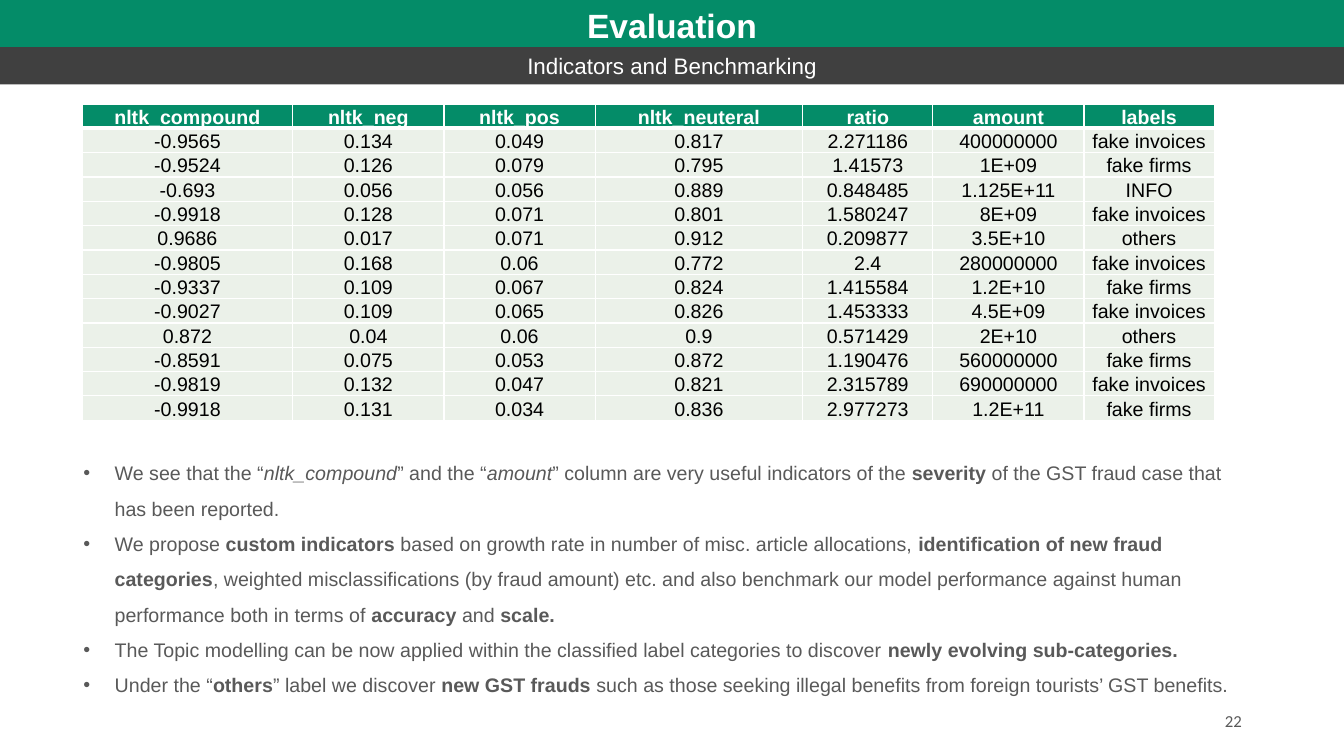
from lxml import etree
from pptx import Presentation
from pptx import util as u
from pptx.dml.color import RGBColor
from pptx.enum import shapes, text
from pptx.oxml import ns

GREEN, DARK, PALE, GREY, WHITE, BLACK = "048C68", "404040", "EBF1E9", "595959", "FFFFFF", "000000"
WIDTH = 33.87
COLUMN_WIDTHS = [5.31, 3.81, 3.81, 5.23, 3.28, 3.81, 3.28]
TABLE_HEIGHT = 7.98
HEADINGS = ["nltk_compound", "nltk_neg", "nltk_pos", "nltk_neuteral", "ratio", "amount", "labels"]
CASES = [
    ["-0.9565", "0.134", "0.049", "0.817", "2.271186", "400000000", "fake invoices"],
    ["-0.9524", "0.126", "0.079", "0.795", "1.41573", "1E+09", "fake firms"],
    ["-0.693", "0.056", "0.056", "0.889", "0.848485", "1.125E+11", "INFO"],
    ["-0.9918", "0.128", "0.071", "0.801", "1.580247", "8E+09", "fake invoices"],
    ["0.9686", "0.017", "0.071", "0.912", "0.209877", "3.5E+10", "others"],
    ["-0.9805", "0.168", "0.06", "0.772", "2.4", "280000000", "fake invoices"],
    ["-0.9337", "0.109", "0.067", "0.824", "1.415584", "1.2E+10", "fake firms"],
    ["-0.9027", "0.109", "0.065", "0.826", "1.453333", "4.5E+09", "fake invoices"],
    ["0.872", "0.04", "0.06", "0.9", "0.571429", "2E+10", "others"],
    ["-0.8591", "0.075", "0.053", "0.872", "1.190476", "560000000", "fake firms"],
    ["-0.9819", "0.132", "0.047", "0.821", "2.315789", "690000000", "fake invoices"],
    ["-0.9918", "0.131", "0.034", "0.836", "2.977273", "1.2E+11", "fake firms"],
]
PLAIN, BOLD, ITALIC = {}, {"bold": True}, {"italic": True}
FINDINGS = [
    [("We see that the “", PLAIN), ("nltk_compound", ITALIC), ("” and the “", PLAIN),
     ("amount", ITALIC), ("” column are very useful indicators of the ", PLAIN),
     ("severity", BOLD), (" of the GST fraud case that has been reported.", PLAIN)],
    [("We propose ", PLAIN), ("custom indicators", BOLD),
     (" based on growth rate in number of misc. article allocations, ", PLAIN),
     ("identification of new fraud categories", BOLD),
     (", weighted misclassifications (by fraud amount) etc. and also benchmark our model "
      "performance against human performance both in terms of ", PLAIN),
     ("accuracy", BOLD), (" and ", PLAIN), ("scale.", BOLD)],
    [("The Topic modelling can be now applied within the classified label categories to discover ",
      PLAIN), ("newly evolving sub-categories.", BOLD)],
    [("Under the “", PLAIN), ("others", BOLD), ("” label we discover ", PLAIN),
     ("new GST frauds ", BOLD),
     ("such as those seeking illegal benefits from foreign tourists’ GST benefits.", PLAIN)],
]


def colour(value):
    """Turn a hex string into a colour."""
    return RGBColor.from_string(value)


def paint(item, value):
    """Fill a shape or cell with one colour."""
    item.fill.solid()
    item.fill.fore_color.rgb = colour(value)


def place(shape, left, top, width, height):
    """Set a shape's position and size in centimetres."""
    shape.left, shape.top = u.Cm(left), u.Cm(top)
    shape.width, shape.height = u.Cm(width), u.Cm(height)


def write(para, words, size=14, font="Arial", ink=GREY, bold=False, italic=False, align=None):
    """Add one formatted span of text to a paragraph."""
    span = para.add_run()
    span.text = words
    span.font.size, span.font.name = u.Pt(size), font
    span.font.bold, span.font.italic = bold, italic
    span.font.color.rgb = colour(ink)
    if align is not None:
        para.alignment = align


def set_frame(shape, anchor):
    """Give a shape a wrapping, fixed-size text frame."""
    frame = shape.text_frame
    frame.word_wrap = True
    frame.auto_size = text.MSO_AUTO_SIZE.NONE
    frame.vertical_anchor = anchor
    frame.margin_left = frame.margin_right = u.Cm(0.25)
    frame.margin_top = frame.margin_bottom = u.Cm(0.13)
    return frame


def format_band(band, top, height, fill, words, **style):
    """Make a shape a full-width band with centred white text."""
    place(band, 0, top, WIDTH, height)
    paint(band, fill)
    frame = set_frame(band, text.MSO_ANCHOR.MIDDLE)
    write(frame.paragraphs[0], words, ink=WHITE, align=text.PP_ALIGN.CENTER, **style)


def add_borders(cell, bottom):
    """Draw white lines around a cell, with a chosen bottom width."""
    properties = cell._tc.get_or_add_tcPr()
    for side, points in (("lnL", 1), ("lnR", 1), ("lnT", 1), ("lnB", bottom)):
        line = etree.SubElement(properties, ns.qn("a:" + side), w=str(u.Pt(points)))
        fill = etree.SubElement(line, ns.qn("a:solidFill"))
        etree.SubElement(fill, ns.qn("a:srgbClr"), val=WHITE)


def fill_cell(cell, words, fill, ink, bold, bottom):
    """Write and format one table cell."""
    cell.margin_left = cell.margin_right = cell.margin_top = u.Cm(0.02)
    cell.margin_bottom = 0
    cell.vertical_anchor = text.MSO_ANCHOR.BOTTOM
    add_borders(cell, bottom)
    paint(cell, fill)
    write(cell.text_frame.paragraphs[0], words, ink=ink, bold=bold, align=text.PP_ALIGN.CENTER)


def add_indicator_table(page):
    """Add the table of indicators for each fraud case."""
    rows = [HEADINGS] + CASES
    table = page.shapes.add_table(len(rows), len(HEADINGS), u.Cm(2.07), u.Cm(2.62),
                                  u.Cm(sum(COLUMN_WIDTHS)), u.Cm(TABLE_HEIGHT)).table
    table.horz_banding = False
    for column, width in zip(table.columns, COLUMN_WIDTHS):
        column.width = u.Cm(width)
    for row, values in enumerate(rows):
        style = (PALE, BLACK, False, 1) if row else (GREEN, WHITE, True, 3)
        for column, words in enumerate(values):
            fill_cell(table.cell(row, column), words, *style)


def add_bullet(para):
    """Give a paragraph a round bullet and a hanging indent."""
    properties = para._p.get_or_add_pPr()
    properties.set("marL", str(u.Cm(0.79)))
    properties.set("indent", str(u.Cm(-0.79)))
    etree.SubElement(properties, ns.qn("a:buFont"), typeface="Arial")
    etree.SubElement(properties, ns.qn("a:buChar"), char="•")


def fill_findings(body):
    """Write the bulleted findings into the body placeholder."""
    place(body, 1.85, 11.2, 29.44, 6.43)
    frame = set_frame(body, text.MSO_ANCHOR.TOP)
    for index, spans in enumerate(FINDINGS):
        para = frame.add_paragraph() if index else frame.paragraphs[0]
        para.line_spacing = 1.5
        para.space_before = para.space_after = u.Pt(0)
        add_bullet(para)
        for words, style in spans:
            write(para, words, **style)


def add_page_number(page, number):
    """Add the page number at the lower right."""
    box = page.shapes.add_textbox(u.Cm(23.93), u.Cm(17.65), u.Cm(7.62), u.Cm(1.02))
    frame = set_frame(box, text.MSO_ANCHOR.MIDDLE)
    write(frame.paragraphs[0], number, size=12, font="Calibri", align=text.PP_ALIGN.RIGHT)


def main():
    """Build the evaluation slide and save it."""
    deck = Presentation()
    deck.slide_width, deck.slide_height = u.Cm(WIDTH), u.Cm(19.05)
    page = deck.slides.add_slide(deck.slide_layouts[1])
    title, body = page.placeholders
    format_band(title, 0, 1.27, GREEN, "Evaluation", size=24, bold=True)
    subtitle = page.shapes.add_shape(shapes.MSO_SHAPE.RECTANGLE, 0, 0, 0, 0)
    subtitle.shadow.inherit = False
    subtitle.line.fill.background()
    format_band(subtitle, 1.19, 0.94, DARK, "Indicators and Benchmarking", size=16)
    add_indicator_table(page)
    fill_findings(body)
    add_page_number(page, "22")
    deck.save("out.pptx")


if __name__ == "__main__":
    main()
